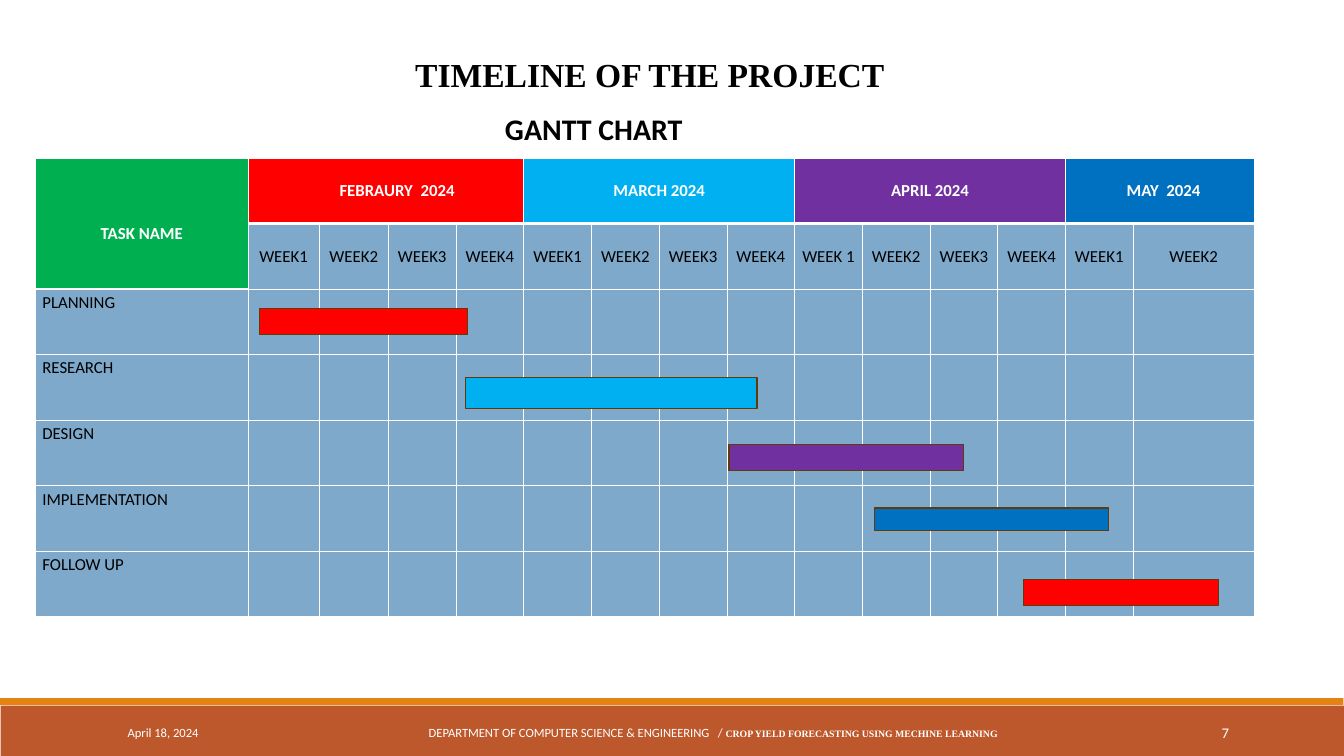
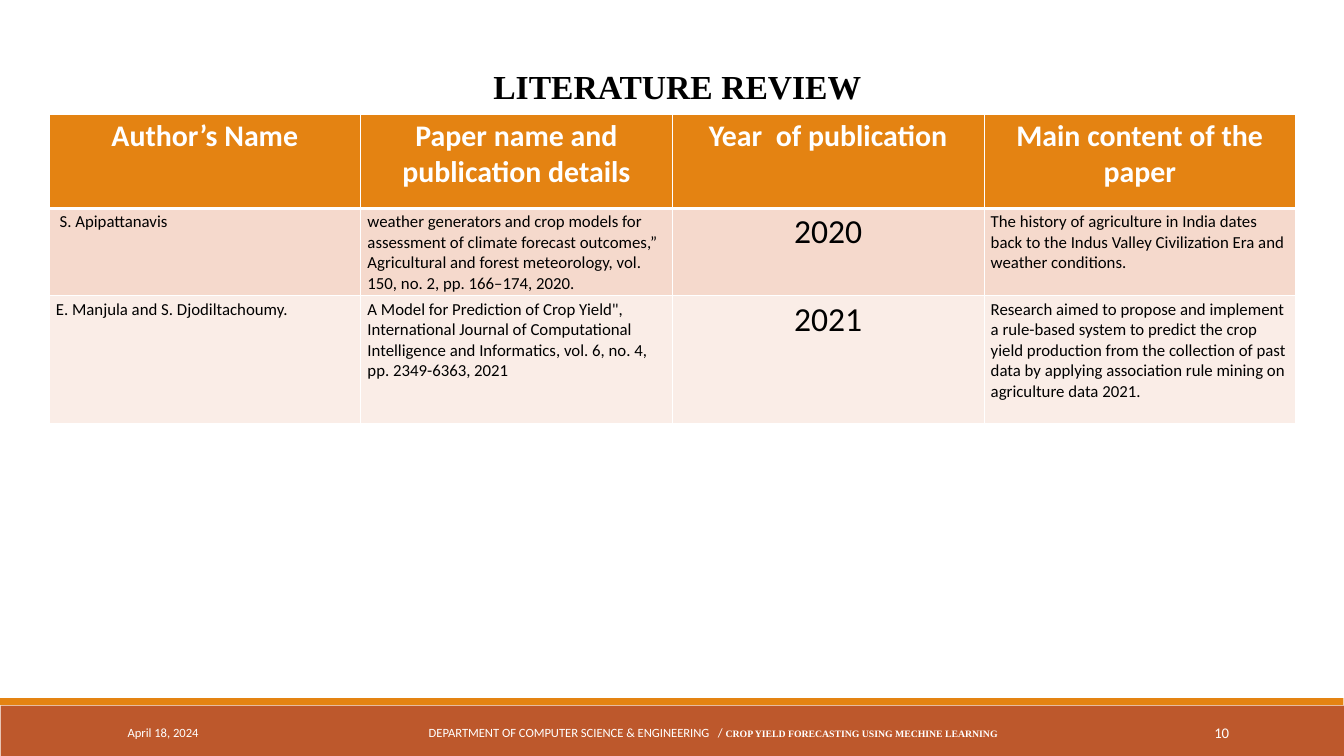
from lxml import etree
from pptx import Presentation
from pptx.dml.color import RGBColor
from pptx.enum.shapes import MSO_SHAPE
from pptx.enum.text import MSO_ANCHOR, PP_ALIGN
from pptx.oxml.ns import qn
from pptx.util import Pt

RECT = MSO_SHAPE.RECTANGLE
TOP, MIDDLE = MSO_ANCHOR.TOP, MSO_ANCHOR.MIDDLE
LEFT, CENTER, RIGHT = PP_ALIGN.LEFT, PP_ALIGN.CENTER, PP_ALIGN.RIGHT
SANS, SERIF = "Calibri", "Times New Roman"
WHITE, BLACK = "FFFFFF", "000000"
RUST, ORANGE, BAR_EDGE = "BD582C", "E48312", "643908"
GREEN, RED, SKY, PURPLE, BLUE = "00B050", "FF0000", "00B0F0", "7030A0", "0070C0"
GRID_BLUE, ROSE, PALE_ROSE = "7EA9CA", "F5D9CC", "FAEDE7"

DATE = "April 18, 2024"
DEPARTMENT = "DEPARTMENT OF COMPUTER SCIENCE & ENGINEERING   / "
PROJECT = "CROP YIELD FORECASTING USING MECHINE LEARNING"

MONTHS = [
    ("FEBRAURY  2024", RED, 24, ["WEEK1", "WEEK2", "WEEK3", "WEEK4"]),
    ("MARCH 2024", SKY, 0, ["WEEK1", "WEEK2", "WEEK3", "WEEK4"]),
    ("APRIL 2024", PURPLE, 0, ["WEEK 1", "WEEK2", "WEEK3", "WEEK4"]),
    ("MAY  2024", BLUE, 8, ["WEEK1", "WEEK2"]),
]
TASKS = [
    ("PLANNING", RED, (278, 330.5, 223, 28)),
    ("RESEARCH", SKY, (499, 404.6, 312, 33)),
    ("DESIGN", PURPLE, (781, 476.6, 251, 28)),
    ("IMPLEMENTATION", BLUE, (937, 544.3, 251, 24.5)),
    ("FOLLOW UP", RED, (1096.5, 620.6, 209.5, 28)),
]
REVIEW_HEADS = ["Author’s Name", "Paper name and publication details",
                "Year  of publication", "Main content of the paper"]
PAPERS = [
    (" S. Apipattanavis",
     "weather generators and crop models for assessment of climate forecast "
     "outcomes,” Agricultural and forest meteorology, vol. 150, no. 2, "
     "pp. 166–174, 2020.",
     "2020",
     "The history of agriculture in India dates back to the Indus Valley "
     "Civilization Era and weather conditions."),
    ("E. Manjula and S. Djodiltachoumy.",
     "A Model for Prediction of Crop Yield\", International Journal of "
     "Computational Intelligence and Informatics, vol. 6, no. 4, "
     "pp. 2349-6363, 2021",
     "2021",
     "Research aimed to propose and implement a rule-based system to predict "
     "the crop yield production from the collection of past data by applying "
     "association rule mining on agriculture data 2021."),
]


def rgb(color):
    """Turn a hex string into a colour."""
    return RGBColor.from_string(color)


def add_run(p, text, size=18, font=SANS, color=BLACK, bold=False):
    """Append formatted text to a paragraph."""
    r = p.add_run()
    r.text = text
    r.font.size = Pt(size)
    r.font.name = font
    r.font.bold = bold
    r.font.color.rgb = rgb(color)


def add_text(s, box, text, align=LEFT, anchor=TOP, wrap=True, spacing=None, **fmt):
    """Add a text box and return its paragraph."""
    tf = s.shapes.add_textbox(*map(Pt, box)).text_frame
    tf.word_wrap = wrap
    tf.vertical_anchor = anchor
    p = tf.paragraphs[0]
    p.alignment = align
    if spacing:
        p.line_spacing = spacing
    add_run(p, text, **fmt)
    return p


def add_title(s, box, text, **fmt):
    """Add a slide title in the shared title style."""
    add_text(s, box, text, size=36, font=SERIF, bold=True, **fmt)


def add_rect(s, box, fill, line=None):
    """Add a flat rectangle with an optional outline."""
    sp = s.shapes.add_shape(RECT, *map(Pt, box))
    sp.shadow.inherit = False
    sp.fill.solid()
    sp.fill.fore_color.rgb = rgb(fill)
    if line:
        sp.line.color.rgb = rgb(line)
        sp.line.width = Pt(1.25)
    else:
        sp.line.fill.background()


def add_table(s, left, top, widths, heights):
    """Add a plain table with the given column widths and row heights."""
    frame = s.shapes.add_table(len(heights), len(widths), Pt(left), Pt(top),
                               Pt(sum(widths)), Pt(sum(heights)))
    table = frame.table
    table.first_row = table.horz_banding = False
    for column, width in zip(table.columns, widths):
        column.width = Pt(width)
    for row, height in zip(table.rows, heights):
        row.height = Pt(height)
    return table


def set_cell(cell, fill, text="", align=LEFT, anchor=TOP, bottom=1, **fmt):
    """Give a cell its white borders, fill and text."""
    tc_pr = cell._tc.get_or_add_tcPr()
    for side, width in (("L", 1), ("R", 1), ("B", bottom)):
        ln = etree.SubElement(tc_pr, qn(f"a:ln{side}"), w=str(Pt(width)))
        solid = etree.SubElement(ln, qn("a:solidFill"))
        etree.SubElement(solid, qn("a:srgbClr"), val=WHITE)
    cell.fill.solid()
    cell.fill.fore_color.rgb = rgb(fill)
    cell.vertical_anchor = anchor
    if text:
        p = cell.text_frame.paragraphs[0]
        p.alignment = align
        add_run(p, text, **fmt)


def add_slide(prs, number):
    """Add a blank slide with the footer bands and footer texts."""
    s = prs.slides.add_slide(prs.slide_layouts[6])
    add_rect(s, (0.7, 756, 1439.3, 54), RUST)
    add_rect(s, (0, 748, 1439.3, 7.5), ORANGE)
    add_text(s, (129.6, 763, 292, 43), DATE, anchor=MIDDLE, size=13.5, color=WHITE)
    add_text(s, (1169.3, 763, 154.8, 43), str(number), align=RIGHT,
             anchor=MIDDLE, size=15.8, color=WHITE)
    p = add_text(s, (435.6, 763, 657.4, 43), DEPARTMENT, align=CENTER,
                 anchor=MIDDLE, size=13.5, color=WHITE)
    add_run(p, PROJECT, size=10.5, font=SERIF, color=WHITE, bold=True)
    return s


def add_gantt_table(s):
    """Add the grid of tasks against months and weeks."""
    widths = [227.5, 76.3, 74.2] + [72.55] * 11 + [129.6]
    table = add_table(s, 38.2, 169.2, widths, [70.25] * (2 + len(TASKS)))
    head = dict(align=CENTER, anchor=MIDDLE, bottom=3, color=WHITE, bold=True)
    corner = table.cell(0, 0)
    set_cell(corner, GREEN, "TASK NAME", **head)
    set_cell(table.cell(1, 0), GREEN, bottom=3)
    corner.margin_top = Pt(25.2)
    corner.merge(table.cell(1, 0))
    col = 1
    for month, color, indent, weeks in MONTHS:
        first, last = table.cell(0, col), table.cell(0, col + len(weeks) - 1)
        for i, week in enumerate(weeks, col):
            set_cell(table.cell(0, i), color, month if i == col else "", **head)
            set_cell(table.cell(1, i), GRID_BLUE, week, align=CENTER, anchor=MIDDLE)
        first.margin_left = Pt(7.2 + indent)
        first.merge(last)
        col += len(weeks)
    for row, (task, _, _) in enumerate(TASKS, 2):
        for i in range(len(widths)):
            set_cell(table.cell(row, i), GRID_BLUE, "" if i else task)


def build_timeline(prs):
    """Build the project timeline slide."""
    s = add_slide(prs, 7)
    add_title(s, (437.8, 54.7, 522.7, 51), "TIMELINE OF THE PROJECT", wrap=False)
    add_text(s, (534, 114.5, 244, 46), "GANTT CHART", size=32, bold=True)
    add_gantt_table(s)
    for _, color, box in TASKS:
        add_rect(s, box, color, BAR_EDGE)


def build_review(prs):
    """Build the literature review slide."""
    s = add_slide(prs, 10)
    add_title(s, (80, 45.4, 1291.7, 65), "LITERATURE REVIEW", align=CENTER, spacing=1.5)
    table = add_table(s, 52.6, 122.4, [333.9] * 4, [100.8, 93.6, 137])
    for i, head in enumerate(REVIEW_HEADS):
        set_cell(table.cell(0, i), ORANGE, head, align=CENTER, bottom=3,
                 size=32, color=WHITE, bold=True)
    for row, (paper, fill) in enumerate(zip(PAPERS, (ROSE, PALE_ROSE)), 1):
        for i, text in enumerate(paper):
            fmt = dict(align=CENTER, size=36) if i == 2 else {}
            set_cell(table.cell(row, i), fill, text, **fmt)


def main():
    """Build and save the deck."""
    prs = Presentation()
    prs.slide_width, prs.slide_height = Pt(1440), Pt(810)
    build_timeline(prs)
    build_review(prs)
    prs.save("out.pptx")


if __name__ == "__main__":
    main()
